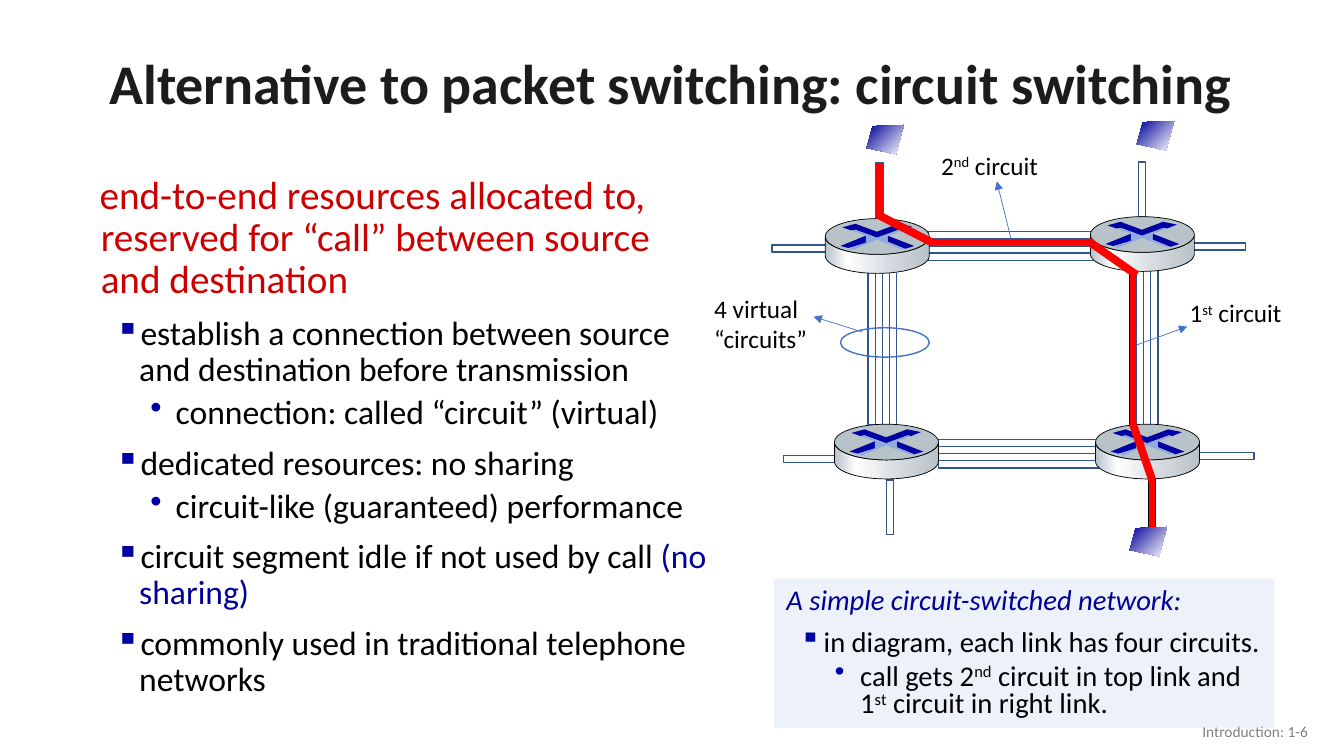
from math import cos, pi, sin

from lxml.etree import SubElement
from pptx import Presentation
from pptx.dml.color import RGBColor
from pptx.enum.shapes import MSO_CONNECTOR, MSO_SHAPE
from pptx.enum.text import MSO_ANCHOR, PP_ALIGN
from pptx.oxml.ns import qn
from pptx.util import Cm, Pt

COLORS = {
    "title": "1C1C1C", "lead": "CC0000", "text": "000000", "accent": "000099",
    "square": "0000A3", "dot": "0000A8", "footer": "808080", "link": "325491",
    "call": "FF0000", "callout": "4472C4", "panel": "DAE3F3", "metal": "B8C2C9",
    "shade": "D6DCE0", "glow": "8FAADC", "white": "FFFFFF",
}
STYLES = {
    "plain": {},
    "lead": {"left": 0.03, "hanging": 0.03, "before": 10},
    "heading": {"left": 1, "hanging": 0.94, "before": 10},
    "item": {"left": 1, "hanging": 0.6, "before": 10, "bullet": "▪", "bullet_color": "square"},
    "detail": {"left": 1.92, "hanging": 0.64, "before": 5, "bullet": "•", "bullet_color": "dot"},
}
ACCENT = {"color": "accent"}
LEAD = {"color": "lead", "size": 28}
HEADING = {"color": "accent", "italic": True}
RAISED = {"raised": True}

TITLE = [("plain", ["Alternative to packet switching: circuit switching"])]
BODY = [
    ("lead", [("end-to-end resources allocated to, reserved for “call” between source and destination", LEAD)]),
    ("item", ["establish a connection between source and destination before transmission"]),
    ("detail", ["connection: called “circuit” (virtual)"]),
    ("item", ["dedicated resources: no sharing"]),
    ("detail", ["circuit-like (guaranteed) performance"]),
    ("item", ["circuit segment idle if not used by call ", ("(no sharing)", ACCENT)]),
    ("item", ["commonly used in traditional telephone networks"]),
]
PANEL = [
    ("heading", [("A simple circuit-switched network:", HEADING)]),
    ("item", ["in diagram, each link has four circuits."]),
    ("detail", ["call gets 2", ("nd", RAISED), " circuit in top link and 1", ("st", RAISED),
                " circuit in right link."]),
]
FOOTER = [("plain", ["Introduction: 1-6"])]
LABELS = [
    ((17.75, 7.26, 3.51, 1.8), ["4 virtual “circuits”"]),
    ((23.47, 3.66, 3.51, 1.02), ["2", ("nd", RAISED), " circuit"]),
    ((29.73, 7.37, 3.51, 1.02), ["1", ("st", RAISED), " circuit"]),
]
CALLOUTS = [
    ((21.72, 8.36), (20.5, 7.98)),
    ((25.48, 6.02), (25.12, 4.57)),
    ((28.65, 8.69), (29.92, 8.23)),
]

CIRCUIT = 0.18
LINKS = [
    {"left": 23.39, "top": 5.84, "length": 4.17, "call": 1},
    {"left": 21.88, "top": 6.69, "length": 4.01, "vertical": True},
    {"left": 23.65, "top": 11.07, "length": 4.11},
    {"left": 28.46, "top": 6.72, "length": 4.01, "vertical": True, "call": 0, "call_line": "text"},
]
STUBS = [
    (19.74, 11.48, 1.37, CIRCUIT, None, "link"),
    (30.23, 11.4, 1.37, CIRCUIT, None, "link"),
    (19.46, 6.17, 1.37, CIRCUIT, None, "link"),
    (30.02, 6.12, 1.37, CIRCUIT, None, "link"),
    (22.07, 4.09, 0.2, 1.42, "call", "link"),
    (22.34, 12.1, CIRCUIT, 1.37, None, "link"),
    (28.94, 12.05, CIRCUIT, 1.37, "call", "text"),
    (28.69, 4.08, CIRCUIT, 1.37, None, "link"),
]
CROSSINGS = [(22.05, 5.66, 27.2), (27.28, 6.4, 35), (28.04, 11.28, 70.9)]

TERMINALS = [(28.65, 3.05), (28.47, 13.28), (21.84, 3.15)]
TERMINAL_OUTLINE = [(0.94, 0), (0.15, 0.03), (0, 0.58), (0.74, 0.74)]
TERMINAL_STOPS = [(0, "accent"), (100, "white")]

ROUTERS = [(20.8, 5.51), (21.03, 10.69), (27.61, 10.69), (27.48, 5.46)]
ROUTER_WIDTH, ROUTER_HEIGHT = 2.62, 0.9
DRUM_STOPS = [(0, "metal"), (21, "white"), (60, "shade"), (100, "metal")]
ROUTER_MARKS = [
    ("square", [(1.83, 0.13), (2.18, 0.2), (1.93, 0.3), (1.85, 0.28), (1.3, 0.48), (0.76, 0.28),
                (0.66, 0.3), (0.43, 0.22), (0.76, 0.13), (1.3, 0.33)]),
    ("square", [(1.57, 0.43), (2.24, 0.69), (2.01, 0.76), (1.57, 0.58)]),
    ("dot", [(1.02, 0.43), (1.02, 0.61), (0.58, 0.74), (0.38, 0.69)]),
    ("glow", [(0.66, 0.3), (0.76, 0.28), (1.3, 0.48), (1.85, 0.28), (1.93, 0.3), (1.57, 0.43),
              (1.57, 0.58), (2.01, 0.76), (1.88, 0.76), (1.3, 0.53), (0.69, 0.79), (0.61, 0.74),
              (1.02, 0.61), (1.02, 0.43)]),
]


def rgb(name):
    return RGBColor.from_string(COLORS[name])


def format_shape(shape, fill=None, line=None, width=1):
    shape.shadow.inherit = False
    if fill:
        shape.fill.solid()
        shape.fill.fore_color.rgb = rgb(fill)
    else:
        shape.fill.background()
    if line:
        shape.line.color.rgb = rgb(line)
        shape.line.width = Pt(width)
    else:
        shape.line.fill.background()
    return shape


def add_preset(slide, kind, box, **look):
    return format_shape(slide.shapes.add_shape(kind, *map(Cm, box)), **look)


def add_outline(slide, origin, points, **look):
    places = [(Cm(origin[0] + x), Cm(origin[1] + y)) for x, y in points]
    builder = slide.shapes.build_freeform(*places[0])
    builder.add_line_segments(places[1:], close=True)
    return format_shape(builder.convert_to_shape(), **look)


def set_gradient(shape, stops, angle):
    shape.fill.gradient()
    shape.fill.gradient_angle = angle
    stop_list = next(shape._element.iter(qn("a:gsLst")))
    for stop in list(stop_list):
        stop_list.remove(stop)
    for position, color in stops:
        stop = SubElement(stop_list, qn("a:gs"), pos=str(position * 1000))
        SubElement(stop, qn("a:srgbClr"), val=COLORS[color])


def add_text(slide, box, paragraphs, size=18, color="text", bold=False, spacing=None,
             align=PP_ALIGN.LEFT, anchor=MSO_ANCHOR.TOP):
    frame = slide.shapes.add_textbox(*map(Cm, box)).text_frame
    frame.word_wrap = True
    frame.vertical_anchor = anchor
    for index, (style_name, runs) in enumerate(paragraphs):
        style = STYLES[style_name]
        paragraph = frame.add_paragraph() if index else frame.paragraphs[0]
        paragraph.alignment = align
        paragraph.line_spacing = spacing
        paragraph.space_before = Pt(style.get("before", 0) if index else 0)
        properties = paragraph._p.get_or_add_pPr()
        properties.set("marL", str(Cm(style.get("left", 0))))
        properties.set("indent", str(-Cm(style.get("hanging", 0))))
        if "bullet" in style:
            bullet_color = SubElement(properties, qn("a:buClr"))
            SubElement(bullet_color, qn("a:srgbClr"), val=COLORS[style["bullet_color"]])
            SubElement(properties, qn("a:buChar"), char=style["bullet"])
        for item in runs:
            text, own = (item, {}) if isinstance(item, str) else item
            run = paragraph.add_run()
            run.text = text
            run.font.name = "Calibri"
            run.font.size = Pt(own.get("size", size))
            run.font.bold = bold
            run.font.italic = own.get("italic", False)
            run.font.color.rgb = rgb(own.get("color", color))
            if own.get("raised"):
                run._r.get_or_add_rPr().set("baseline", "30000")


def add_link(slide, left, top, length, vertical=False, call=None, call_line="link"):
    for index in range(4):
        offset = index * CIRCUIT
        box = (left + offset, top, CIRCUIT, length) if vertical else (left, top + offset, length, CIRCUIT)
        used = index == call
        add_preset(slide, MSO_SHAPE.RECTANGLE, box, fill="call" if used else None,
                   line=call_line if used else "link")


def add_router(slide, origin):
    radius = ROUTER_WIDTH / 2
    arc = [(radius + radius * cos(step * pi / 24), 0.46 + 0.44 * sin(step * pi / 24)) for step in range(25)]
    wall = arc + [(x, y + 0.48) for x, y in reversed(arc)]
    drum = add_outline(slide, origin, wall, line="text", width=0.5)
    set_gradient(drum, DRUM_STOPS, 0)
    add_preset(slide, MSO_SHAPE.OVAL, (*origin, ROUTER_WIDTH, ROUTER_HEIGHT),
               fill="metal", line="text", width=0.5)
    for color, points in ROUTER_MARKS:
        add_outline(slide, origin, points, fill=color)


def add_arrow(slide, start, end):
    arrow = slide.shapes.add_connector(MSO_CONNECTOR.STRAIGHT, *map(Cm, start + end))
    arrow.line.color.rgb = rgb("callout")
    arrow.line.width = Pt(0.5)
    SubElement(arrow.line._get_or_add_ln(), qn("a:tailEnd"), type="triangle")
    SubElement(arrow._element.spPr, qn("a:effectLst"))


def main():
    presentation = Presentation()
    presentation.slide_width, presentation.slide_height = Cm(33.87), Cm(19.05)
    slide = presentation.slides.add_slide(presentation.slide_layouts[6])
    add_text(slide, (2.29, 0.94, 29.21, 2.49), TITLE, size=40, color="title", bold=True,
             spacing=0.9, align=PP_ALIGN.CENTER, anchor=MSO_ANCHOR.MIDDLE)
    add_text(slide, (2.26, 4.29, 15.82, 14.76), BODY, size=24, spacing=0.9)
    add_text(slide, (25.6, 17.91, 7.62, 1.02), FOOTER, size=11, color="footer",
             align=PP_ALIGN.RIGHT, anchor=MSO_ANCHOR.MIDDLE)
    for link in LINKS:
        add_link(slide, **link)
    for *box, fill, line in STUBS:
        add_preset(slide, MSO_SHAPE.RECTANGLE, box, fill=fill, line=line)
    for origin in TERMINALS:
        set_gradient(add_outline(slide, origin, TERMINAL_OUTLINE), TERMINAL_STOPS, 315)
    for origin in ROUTERS:
        add_router(slide, origin)
    for left, top, angle in CROSSINGS:
        add_preset(slide, MSO_SHAPE.RECTANGLE, (left, top, 1.5, 0.2), fill="call").rotation = angle
    add_preset(slide, MSO_SHAPE.OVAL, (21.18, 8.26, 2.24, 0.74), line="callout")
    for start, end in CALLOUTS:
        add_arrow(slide, start, end)
    for box, runs in LABELS:
        add_text(slide, box, [("plain", runs)])
    panel = add_preset(slide, MSO_SHAPE.RECTANGLE, (19.51, 14.58, 12.6, 3.76), fill="panel")
    SubElement(next(panel._element.spPr.iter(qn("a:srgbClr"))), qn("a:alpha"), val="47000")
    add_text(slide, (19.51, 14.71, 12.7, 3.91), PANEL, size=20.4, spacing=0.8)
    presentation.save("out.pptx")


if __name__ == "__main__":
    main()
